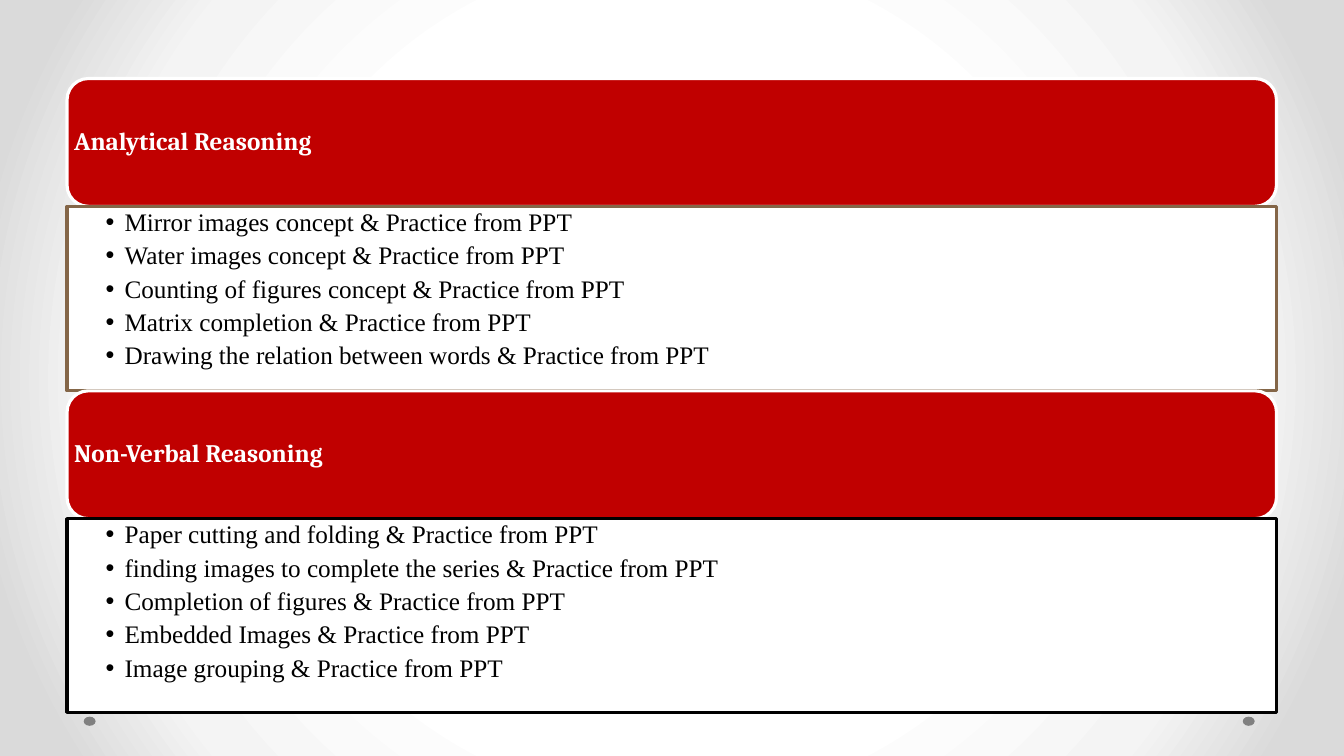
import pptx
import pptx.util
import pptx.dml.color
import pptx.enum.shapes
import pptx.enum.text
import pptx.oxml
import pptx.oxml.ns
from lxml import etree

Cm = pptx.util.Cm
Pt = pptx.util.Pt
Kind = pptx.enum.shapes.MSO_SHAPE
Anchor = pptx.enum.text.MSO_ANCHOR
qn = pptx.oxml.ns.qn

LEFT, TOP, WIDTH, HEAD = 1.69, 1.98, 30.48, 3.22
TOPICS = [
    ("Analytical Reasoning", 4.65, "846648", [
        "Mirror images concept & Practice from PPT",
        "Water images concept & Practice from PPT",
        "Counting of figures concept & Practice from PPT",
        "Matrix completion & Practice from PPT",
        "Drawing the relation between words & Practice from PPT",
    ]),
    ("Non-Verbal Reasoning", 4.88, "000000", [
        "Paper cutting and folding & Practice from PPT",
        "finding images to complete the series & Practice from PPT",
        "Completion of figures & Practice from PPT",
        "Embedded Images & Practice from PPT",
        "Image grouping & Practice from PPT",
    ]),
]


def color(code):
    return pptx.dml.color.RGBColor.from_string(code)


def paint(shape, fill, line=None):
    shape.fill.solid()
    shape.fill.fore_color.rgb = color(fill)
    if line:
        shape.line.color.rgb = color(line)
        shape.line.width = Pt(2.25)
    else:
        shape.line.fill.background()


def draw(slide, kind, box, fill, line=None):
    shape = slide.shapes.add_shape(kind, *map(Cm, box))
    shape.shadow.inherit = False
    paint(shape, fill, line)


def place(shape, box, pads, anchor):
    shape.left, shape.top, shape.width, shape.height = map(Cm, box)
    frame = shape.text_frame
    frame.word_wrap = True
    frame.auto_size = pptx.enum.text.MSO_AUTO_SIZE.NONE
    frame.vertical_anchor = anchor
    frame.margin_left, frame.margin_top, frame.margin_right, frame.margin_bottom = map(Cm, pads)
    shape.element.getparent().append(shape.element)


def style(para, font, code, bold, after):
    para.alignment = pptx.enum.text.PP_ALIGN.LEFT
    para.line_spacing = 0.9
    para.space_before = Pt(0)
    para.space_after = Pt(after)
    for run in para.runs:
        run.font.name = font
        run.font.size = Pt(18)
        run.font.bold = bold
        run.font.color.rgb = color(code)


def bullet(para):
    props = para._p.get_or_add_pPr()
    props.set("marL", str(Cm(0.48)))
    props.set("indent", str(-Cm(0.48)))
    etree.SubElement(props, qn("a:buChar"), char="•")


def banner(slide, shape, box, text):
    draw(slide, Kind.ROUNDED_RECTANGLE, box, "C00000", "FFFFFF")
    place(shape, box, [0.18] * 4, Anchor.MIDDLE)
    shape.text_frame.text = text
    style(shape.text_frame.paragraphs[0], "Cambria", "FFFFFF", True, 0)


def panel(shape, box, line, items):
    place(shape, box, [0.97, 0.08, 0.36, 0.08], Anchor.TOP)
    paint(shape, "FFFFFF", line)
    shape.text_frame.text = "\n".join(items)
    for para in shape.text_frame.paragraphs:
        para.level = 1
        style(para, "Times New Roman", "000000", False, 4.4)
        bullet(para)


def backdrop(slide):
    slide.background.fill.solid()
    stops = "".join(
        f'<a:gs pos="{pos}000"><a:srgbClr val="{code}"/></a:gs>'
        for pos, code in [(50, "FFFFFF"), (76, "F4F4F4"), (92, "DADADA")]
    )
    grad = pptx.oxml.parse_xml(
        f'<a:gradFill {pptx.oxml.ns.nsdecls("a")} rotWithShape="1">'
        f'<a:gsLst>{stops}</a:gsLst><a:path path="circle">'
        '<a:fillToRect l="50000" t="50000" r="50000" b="50000"/>'
        '</a:path></a:gradFill>'
    )
    props = slide.element.find(".//" + qn("p:bgPr"))
    props.replace(props[0], grad)
    for left in (2.11, 31.32):
        draw(slide, Kind.OVAL, (left, 18.06, 0.3, 0.23), "808080")


def build(slide):
    backdrop(slide)
    title, *slots = slide.placeholders
    title.element.getparent().remove(title.element)
    top = TOP
    for heads, lists, (text, height, line, items) in zip(slots[::2], slots[1::2], TOPICS):
        banner(slide, heads, (LEFT, top, WIDTH, HEAD), text)
        panel(lists, (LEFT, top + HEAD, WIDTH, height), line, items)
        top += HEAD + height


def main():
    deck = pptx.Presentation()
    deck.slide_width, deck.slide_height = Cm(33.87), Cm(19.05)
    build(deck.slides.add_slide(deck.slide_layouts.get_by_name("Comparison")))
    deck.save("out.pptx")


if __name__ == "__main__":
    main()
